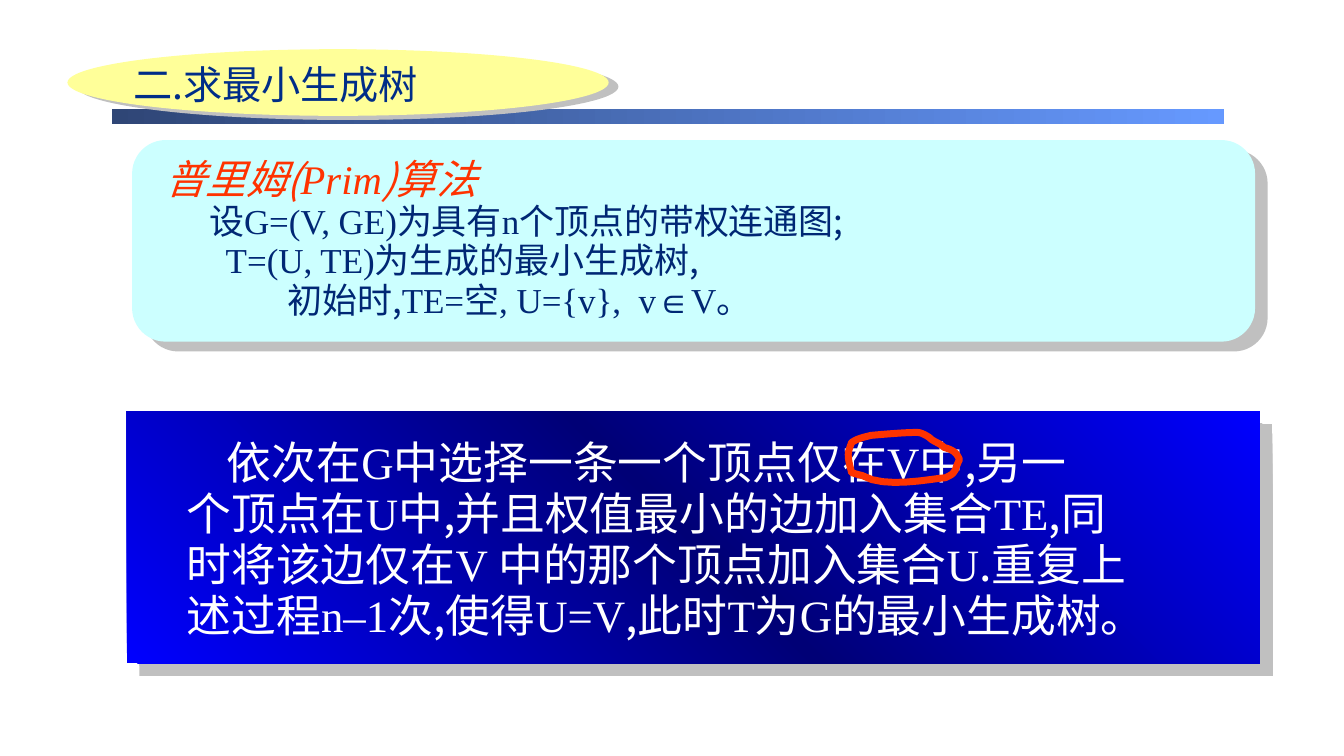
from pptx import Presentation
from pptx.dml.color import RGBColor
from pptx.enum.shapes import MSO_SHAPE
from pptx.enum.text import MSO_ANCHOR, MSO_AUTO_SIZE, PP_ALIGN
from pptx.oxml import parse_xml
from pptx.oxml.ns import nsdecls, qn
from pptx.util import Cm, Pt

RECT, OVAL, ROUNDED = MSO_SHAPE.RECTANGLE, MSO_SHAPE.OVAL, MSO_SHAPE.ROUNDED_RECTANGLE
TOP, LEFT, NO_FIT = MSO_ANCHOR.TOP, PP_ALIGN.LEFT, MSO_AUTO_SIZE.NONE
TITLE_ONLY = 5

CJK_FONT, LATIN_FONT = "Noto Sans CJK SC", "Times New Roman"
WHITE = RGBColor(0xFF, 0xFF, 0xFF)
RED = RGBColor(0xFF, 0x33, 0x00)
TITLE_BLUE = RGBColor(0x00, 0x2D, 0x88)
TEXT_BLUE = RGBColor(0x00, 0x27, 0x74)
YELLOW = RGBColor(0xFF, 0xFF, 0x99)
CYAN = RGBColor(0xCC, 0xFF, 0xFF)
SHADOW_GREY = RGBColor(0xC0, 0xC0, 0xC0)
BAR_DARK = RGBColor(0x2F, 0x46, 0x76)
BAR_LIGHT = RGBColor(0x66, 0x99, 0xFF)
BRIGHT_BLUE = RGBColor(0x00, 0x00, 0xFF)
DEEP_BLUE = RGBColor(0x00, 0x00, 0x76)

# Text: "|" switches between the Chinese and the Latin font;
# each line is paired with its first-line indent in cm
DEFINITIONS = [
    (0.6, "设|G=(V, GE)|为具有|n|个顶点的带权连通图;"),
    (1.02, "|T=(U, TE)|为生成的最小生成树,"),
    (2.57, "初始时,|TE=空, U={v},  v∈V。"),
]
STEPS = [
    (1.02, "依次在|G|中选择一条一个顶点仅在|V|中,另一"),
    (0, "个顶点在|U|中,并且权值最小的边加入集合|TE|,同"),
    (0, "时将该边仅在|V |中的那个顶点加入集合|U|.重复上"),
    (0, "述过程|n–1|次,使得|U=V|,此时|T|为|G|的最小生成树。"),
]

# Bezier control points of the hand-drawn ring, in hundredths of an inch
RING_UNIT = 0.0254
RING = [
    (922, 434), (919, 432), (914, 429), (910, 429), (895, 429), (864, 432),
    (864, 432), (856, 434), (851, 435), (845, 439), (841, 450), (840, 450),
    (845, 469), (845, 469), (856, 472), (856, 472), (878, 485), (923, 475),
    (938, 474), (944, 471), (945, 471), (948, 466), (949, 462), (952, 456),
    (952, 456), (949, 448), (944, 446), (937, 444), (930, 438), (927, 439),
    (922, 434),
]


def bezier_points(controls, steps=8):
    """Sample a chain of cubic curves, leaving out its first point."""
    points = []
    for start in range(0, len(controls) - 1, 3):
        curve = controls[start:start + 4]
        for step in range(1, steps + 1):
            t = step / steps
            weights = ((1 - t) ** 3, 3 * t * (1 - t) ** 2, 3 * t * t * (1 - t), t ** 3)
            points.append(tuple(
                sum(w * point[axis] for w, point in zip(weights, curve)) for axis in (0, 1)))
    return points


class SlideWriter:
    def __init__(self, slide):
        self.slide = slide
        self.shapes = slide.shapes

    def panel(self, kind, box, color=None, gradient=None, angle=0, shadow=None):
        shape = self.shapes.add_shape(kind, *(Cm(v) for v in box))
        properties = shape._element.spPr
        if gradient:
            shape.fill.background()
            last = len(gradient) - 1
            stops = "".join(
                f'<a:gs pos="{100000 * i // last}"><a:srgbClr val="{stop}"/></a:gs>'
                for i, stop in enumerate(gradient))
            properties.replace(properties.find(qn("a:noFill")), parse_xml(
                f'<a:gradFill {nsdecls("a")} rotWithShape="1"><a:gsLst>{stops}</a:gsLst>'
                f'<a:lin ang="{angle * 60000}" scaled="0"/></a:gradFill>'))
        else:
            shape.fill.solid()
            shape.fill.fore_color.rgb = color
        shape.line.fill.background()
        shape.shadow.inherit = False
        if shadow:
            distance, direction = shadow
            properties.find(qn("a:effectLst")).append(parse_xml(
                f'<a:outerShdw {nsdecls("a")} dist="{Pt(distance)}" dir="{direction * 60000}" '
                f'algn="ctr" rotWithShape="0"><a:srgbClr val="{SHADOW_GREY}"/></a:outerShdw>'))

    def fill_frame(self, frame, lines, size, color, spacing, after, italic):
        frame.word_wrap = True
        frame.auto_size = NO_FIT
        frame.vertical_anchor = TOP
        for number, (indent, line) in enumerate(lines):
            paragraph = frame.add_paragraph() if number else frame.paragraphs[0]
            paragraph.alignment = LEFT
            paragraph.line_spacing = spacing
            paragraph.space_after = Pt(after)
            properties = paragraph._p.get_or_add_pPr()
            properties.set("marL", "0")
            properties.set("indent", str(Cm(indent)))
            for part, words in enumerate(line.split("|")):
                if not words:
                    continue
                run = paragraph.add_run()
                run.text = words
                run.font.size = Pt(size)
                run.font.italic = italic
                run.font.color.rgb = color
                run.font.name = LATIN_FONT if part % 2 else CJK_FONT
                run._r.get_or_add_rPr().append(
                    parse_xml(f'<a:ea {nsdecls("a")} typeface="{CJK_FONT}"/>'))

    def text(self, box, lines, size, color, spacing=1.0, after=0, italic=False):
        frame = self.shapes.add_textbox(*(Cm(v) for v in box)).text_frame
        self.fill_frame(frame, lines, size, color, spacing, after, italic)

    def title(self, box, words, size, color):
        title = self.shapes.title
        title.left, title.top, title.width, title.height = (Cm(v) for v in box)
        self.fill_frame(title.text_frame, [(0, words)], size, color, 1.0, 0, False)
        # Bring the title in front of the ellipse
        title._element.getparent().append(title._element)

    def ring(self, controls, unit, color, width):
        start, *rest = [(Cm(x * unit), Cm(y * unit))
                        for x, y in controls[:1] + bezier_points(controls)]
        builder = self.shapes.build_freeform(*start)
        builder.add_line_segments(rest, close=True)
        shape = builder.convert_to_shape()
        shape.fill.background()
        shape.line.color.rgb = color
        shape.line.width = Pt(width)
        shape.shadow.inherit = False


def main():
    deck = Presentation()
    deck.slide_width, deck.slide_height = Cm(33.87), Cm(19.05)
    writer = SlideWriter(deck.slides.add_slide(deck.slide_layouts[TITLE_ONLY]))

    # Heading with its bar
    writer.panel(RECT, (2.82, 2.74, 28.02, 0.38), gradient=(BAR_DARK, BAR_LIGHT))
    writer.panel(OVAL, (1.7, 1.24, 13.64, 1.68), YELLOW, shadow=(7.6, 23))
    writer.title((3.1, 1.4, 13.67, 1.45), "二.求最小生成树", 28, TITLE_BLUE)

    # Steps of the algorithm, with one vertex set ringed
    writer.panel(RECT, (3.2, 10.36, 28.55, 6.35), angle=315, shadow=(12.7, 45),
                 gradient=(BRIGHT_BLUE, DEEP_BLUE, BRIGHT_BLUE))
    writer.text((4.45, 10.92, 28.5, 5.46), STEPS, 32, WHITE, spacing=0.95)
    writer.ring(RING, RING_UNIT, RED, 5)

    # Definitions
    writer.panel(ROUNDED, (3.33, 3.53, 28.3, 5.08), CYAN, shadow=(11.4, 38))
    writer.text((4.42, 5.03, 27.43, 3.18), DEFINITIONS, 25, TEXT_BLUE, spacing=0.9, after=1)
    writer.text((3.91, 3.76, 13.84, 1.47), [(0, "普里姆(|Prim|)算法")], 29, RED, italic=True)

    deck.save("out.pptx")


if __name__ == "__main__":
    main()
